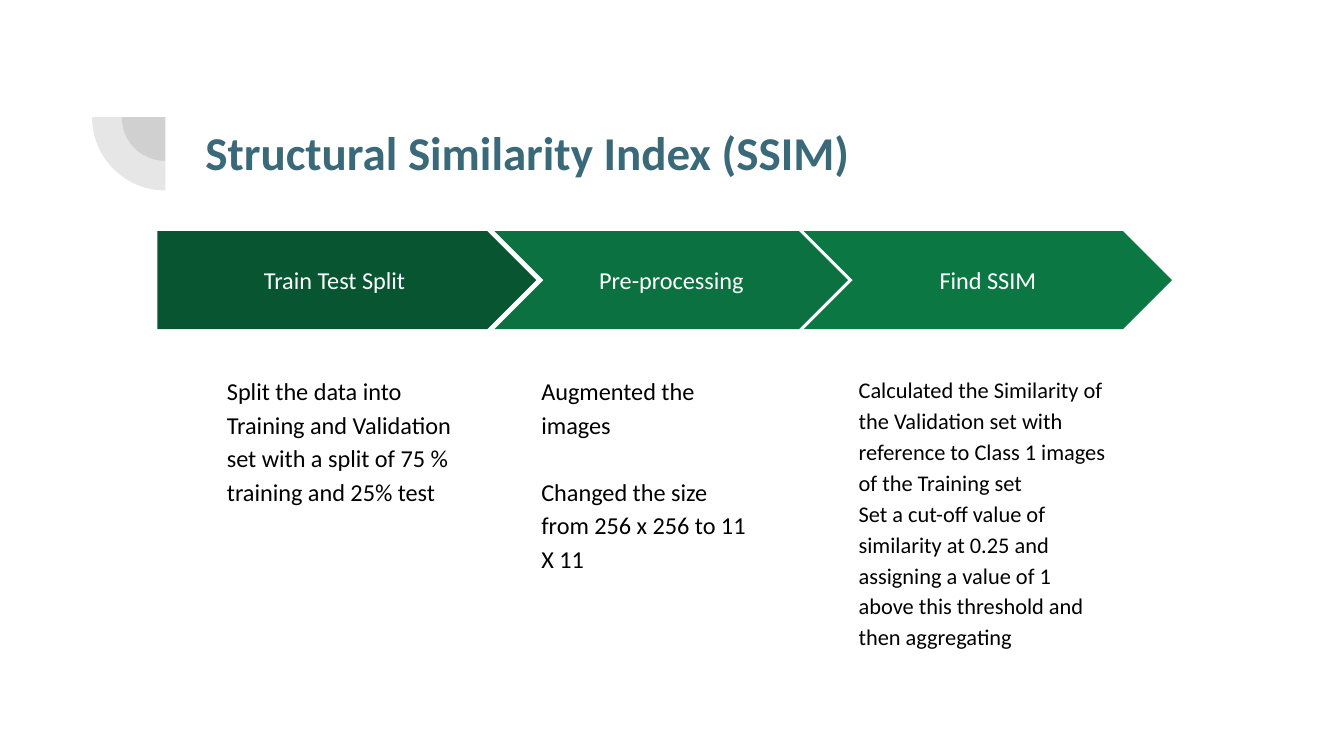
from dataclasses import dataclass

from lxml.etree import SubElement
from pptx import Presentation
from pptx.dml.color import RGBColor
from pptx.enum.shapes import MSO_SHAPE as Preset
from pptx.enum.text import MSO_ANCHOR as Anchor, PP_ALIGN as Align
from pptx.oxml.ns import qn
from pptx.shapes.autoshape import Shape
from pptx.slide import Slide
from pptx.util import Inches, Length, Pt


@dataclass(frozen=True)
class Theme:
    font: str = "Calibri"
    title: str = "3A6979"
    body: str = "000000"
    label: str = "FFFFFF"
    ornament: str = "424242"
    ornament_alpha: int = 13
    title_size: float = 25.2
    label_size: float = 13
    line_spacing: float = 1.15


@dataclass(frozen=True)
class Box:
    """Place on a square grid, 100 columns to the slide's width."""
    left: float
    top: float
    width: float
    height: float


@dataclass(frozen=True)
class Step:
    label: str
    preset: Preset
    fill: str
    arrow_left: float
    arrow_width: float
    text_left: float
    text_width: float
    paragraphs: tuple[str, ...]
    size: float = 13
    gap: float = 0


THEME = Theme()
SLIDE_WIDTH = Inches(10)
SLIDE_HEIGHT = SLIDE_WIDTH * 9 // 16
COLUMNS = 100
ARROW_TOP, ARROW_HEIGHT = 17.2, 7.3
TEXT_TOP, TEXT_HEIGHT = 26.7, 28.6
PIE_CENTRE = (12.3, 8.72)
PIE_DIAMETERS = (6.5, 10.9)

STEPS = (
    Step("Train Test Split", Preset.PENTAGON, "085631", 11.7, 28.2, 15.9, 19.7,
         ("Split the data into Training and Validation set with a split of "
          "75 % training and 25% test",)),
    Step("Pre-processing", Preset.CHEVRON, "0B7140", 36.8, 26.3, 39.3, 18,
         ("Augmented the images",
          "Changed the size from 256 x 256 to 11 X 11"), gap=18),
    Step("Find SSIM", Preset.CHEVRON, "0B7743", 59.8, 27.4, 62.9, 20.5,
         ("Calculated the Similarity of the Validation set with reference to "
          "Class 1 images of the Training set",
          "Set a cut-off value of similarity at 0.25 and assigning a value of 1 "
          "above this threshold and then aggregating"), size=12),
)


def place(box: Box) -> tuple[Length, ...]:
    cell = SLIDE_WIDTH / COLUMNS
    return tuple(Length(round(value * cell))
                 for value in (box.left, box.top, box.width, box.height))


def write(shape: Shape, paragraphs: tuple[str, ...], size: float, color: str,
          bold: bool = False, align: Align = Align.LEFT,
          anchor: Anchor = Anchor.TOP, spacing: float = 1, gap: float = 0) -> None:
    frame = shape.text_frame
    margins = dict.fromkeys(
        ("margin_left", "margin_top", "margin_right", "margin_bottom"), Inches(0.1))
    for name, value in {"word_wrap": True, "vertical_anchor": anchor, **margins}.items():
        setattr(frame, name, value)
    for index, text in enumerate(paragraphs):
        paragraph = frame.add_paragraph() if index else frame.paragraphs[0]
        paragraph.alignment = align
        paragraph.line_spacing = spacing
        paragraph.space_before = Pt(gap if index else 0)
        run = paragraph.add_run()
        run.text = text
        for name, value in {"name": THEME.font, "size": Pt(size), "bold": bold}.items():
            setattr(run.font, name, value)
        run.font.color.rgb = RGBColor.from_string(color)


def add_filled(slide: Slide, preset: Preset, box: Box, fill: str) -> Shape:
    shape = slide.shapes.add_shape(preset, *place(box))
    shape.shadow.inherit = False
    shape.fill.solid()
    shape.fill.fore_color.rgb = RGBColor.from_string(fill)
    shape.line.fill.background()
    return shape


def add_quarter(slide: Slide, diameter: float) -> None:
    left, top = (centre - diameter / 2 for centre in PIE_CENTRE)
    pie = add_filled(slide, Preset.PIE, Box(left, top, diameter, diameter), THEME.ornament)
    pie.rotation = 270
    # Angles in 60000ths of a degree, as python-pptx divides them by 100000
    pie.adjustments[0], pie.adjustments[1] = 108, 162
    color = next(pie.element.spPr.iter(qn("a:srgbClr")))
    SubElement(color, qn("a:alpha"), val=str(THEME.ornament_alpha * 1000))


def add_step(slide: Slide, step: Step) -> None:
    arrow = add_filled(slide, step.preset,
                       Box(step.arrow_left, ARROW_TOP, step.arrow_width, ARROW_HEIGHT),
                       step.fill)
    arrow.adjustments[0] = 0.5
    write(arrow, (step.label,), THEME.label_size, THEME.label,
          align=Align.CENTER, anchor=Anchor.MIDDLE)
    text_box = slide.shapes.add_textbox(
        *place(Box(step.text_left, TEXT_TOP, step.text_width, TEXT_HEIGHT)))
    write(text_box, step.paragraphs, step.size, THEME.body,
          spacing=THEME.line_spacing, gap=step.gap)


def main() -> None:
    presentation = Presentation()
    presentation.slide_width, presentation.slide_height = SLIDE_WIDTH, SLIDE_HEIGHT
    slide = presentation.slides.add_slide(presentation.slide_layouts[6])

    # Corner ornament
    for diameter in PIE_DIAMETERS:
        add_quarter(slide, diameter)

    # Title
    title = slide.shapes.add_textbox(*place(Box(14.3, 8.2, 58.2, 6.5)))
    write(title, ("Structural Similarity Index (SSIM)",),
          THEME.title_size, THEME.title, bold=True)

    # Process steps
    for step in STEPS:
        add_step(slide, step)

    presentation.save("out.pptx")


if __name__ == "__main__":
    main()
